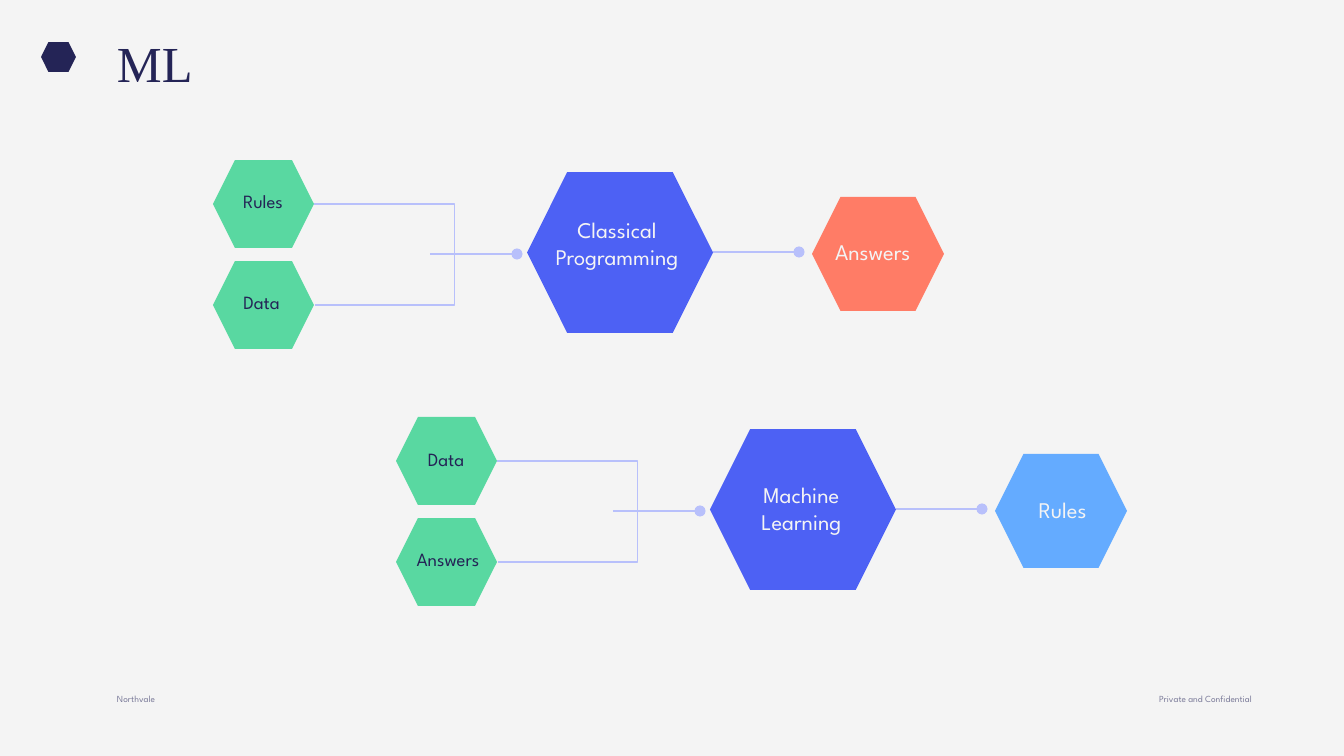
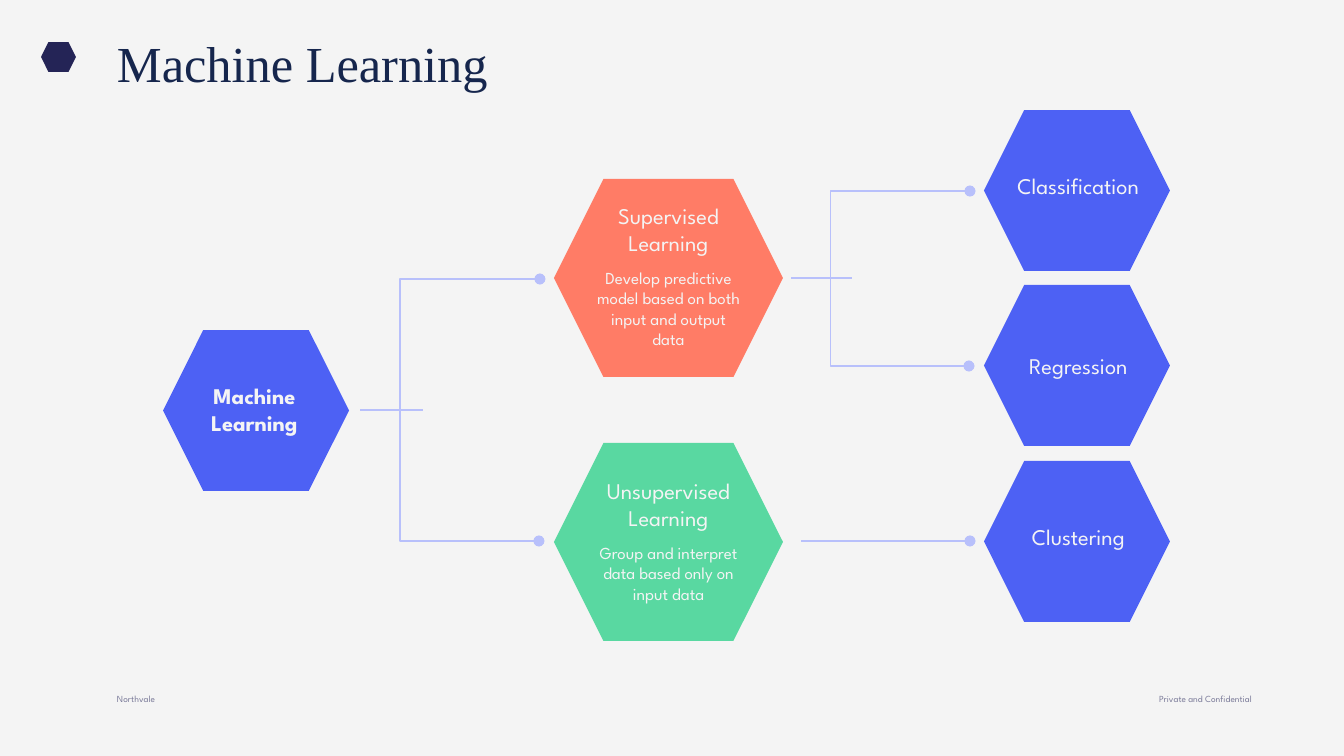
"""Build two slides of hexagon diagrams about machine learning."""
import pptx
import pptx.dml.color
import pptx.enum.shapes
import pptx.enum.text
import pptx.oxml.ns
import pptx.util
from lxml import etree

COLORS = {
    "background": "F4F4F4", "navy": "242456", "title_blue": "16264D",
    "grey": "7C7C9A", "line": "B8C0FB", "blue": "4D61F4", "green": "59D8A1",
    "coral": "FF7C66", "sky": "64ABFF",
}
BODY_FONT = "League Spartan"
TITLE_FONT = "Times New Roman"
SLIDE_WIDTH, SLIDE_HEIGHT = 1344, 756
SMALL, MEDIUM, NORMAL, LARGE = (101, 88), (132, 114), (186, 161), (229, 198)
LABEL_WIDTH = 149
ALIGN = pptx.enum.text.PP_ALIGN
ANCHOR = pptx.enum.text.MSO_ANCHOR
AUTO_SIZE = pptx.enum.text.MSO_AUTO_SIZE
CONNECTOR = pptx.enum.shapes.MSO_CONNECTOR


def emu(px):
    return pptx.util.Emu(round(px * 9144000 / SLIDE_WIDTH))


def rgb(name):
    return pptx.dml.color.RGBColor.from_string(COLORS[name])


class Deck:
    def __init__(self):
        self.presentation = pptx.Presentation()
        self.presentation.slide_width = emu(SLIDE_WIDTH)
        self.presentation.slide_height = emu(SLIDE_HEIGHT)
        self.slide = None

    def add_slide(self, title, title_color):
        self.slide = self.presentation.slides.add_slide(self.presentation.slide_layouts[5])
        fill = self.slide.background.fill
        fill.solid()
        fill.fore_color.rgb = rgb("background")
        shape = self.slide.shapes.title
        shape.left, shape.top, shape.width, shape.height = map(emu, (117, 32, 1184, 60))
        self.set_text(shape, title, 27, title_color, font=TITLE_FONT, align=ALIGN.LEFT)
        self.hexagon(41, 42, (35, 30), "navy")
        self.footer("Northvale", 117, 664)
        self.footer("Private and Confidential", 1159, 143)

    def set_text(self, shape, text, size, color, font=BODY_FONT, align=ALIGN.CENTER,
                 anchor=ANCHOR.TOP, bold=False):
        frame = shape.text_frame
        frame.text = text
        frame.word_wrap = True
        frame.auto_size = AUTO_SIZE.SHAPE_TO_FIT_TEXT if anchor == ANCHOR.TOP else AUTO_SIZE.NONE
        frame.vertical_anchor = anchor
        frame.margin_left = frame.margin_right = frame.margin_top = frame.margin_bottom = 0
        for paragraph in frame.paragraphs:
            paragraph.alignment = align
            paragraph.line_spacing = pptx.util.Pt(size * 1.2)
            paragraph.font.name = font
            paragraph.font.size = pptx.util.Pt(size)
            paragraph.font.bold = bold
            paragraph.font.color.rgb = rgb(color)

    def label(self, text, left, top, width=LABEL_WIDTH, size=12, color="background", lines=1, **style):
        height = round(lines * size * 2.24)
        shape = self.slide.shapes.add_textbox(*map(emu, (left, top, width, height)))
        self.set_text(shape, text, size, color, **style)

    def footer(self, text, left, width):
        shape = self.slide.shapes.add_textbox(*map(emu, (left, 675, width, 29)))
        self.set_text(shape, text, 5, "grey", align=ALIGN.LEFT, anchor=ANCHOR.BOTTOM)

    def hexagon(self, left, top, size, color):
        shape = self.slide.shapes.add_shape(
            pptx.enum.shapes.MSO_SHAPE.HEXAGON, *map(emu, (left, top, *size)))
        shape.adjustments[0] = 0.25
        shape.shadow.inherit = False
        shape.fill.solid()
        shape.fill.fore_color.rgb = rgb(color)
        shape.line.fill.background()

    def connect(self, kind, start, end, ends=()):
        connector = self.slide.shapes.add_connector(kind, *map(emu, (*start, *end)))
        connector.line.color.rgb = rgb("line")
        connector.line.width = pptx.util.Pt(0.75)
        properties = connector._element.spPr
        outline = properties.find(pptx.oxml.ns.qn("a:ln"))
        for name in ends:
            etree.SubElement(outline, pptx.oxml.ns.qn(f"a:{name}"), type="oval")
        etree.SubElement(properties, pptx.oxml.ns.qn("a:effectLst"))
        return properties

    def line(self, x1, x2, y, ends=()):
        self.connect(CONNECTOR.STRAIGHT, (x1, y), (x2, y), ends)

    def bracket(self, x, top, bottom, reach, ends=()):
        step = 1 if reach > 0 else -1
        properties = self.connect(CONNECTOR.ELBOW, (x, top), (x + step, bottom), ends)
        geometry = properties.find(pptx.oxml.ns.qn("a:prstGeom"))
        adjustments = geometry.find(pptx.oxml.ns.qn("a:avLst"))
        etree.SubElement(adjustments, pptx.oxml.ns.qn("a:gd"),
                         name="adj1", fmla=f"val {abs(reach) * 100000}")

    def flow(self, x, y, result_color):
        self.bracket(x + 101, y + 44, y + 145, 140)
        self.line(x + 217, x + 304, y + 94, ["tailEnd"])
        self.line(x + 500, x + 586, y + 92, ["tailEnd"])
        for top in (y, y + 101):
            self.hexagon(x, top, SMALL, "green")
        self.hexagon(x + 314, y + 12, NORMAL, "blue")
        self.hexagon(x + 599, y + 37, MEDIUM, result_color)


def build_comparison(deck):
    deck.add_slide("ML", "navy")
    deck.flow(213, 160, "coral")
    deck.flow(396, 417, "sky")
    for text, left, top, width in (("Rules", 230, 190, 66), ("Data", 236, 291, 51),
                                   ("Data", 413, 448, 66), ("Answers", 409, 548, 78)):
        deck.label(text, left, top, width, size=10, color="navy")
    deck.label("Classical Programming", 524, 216, 186, lines=2)
    deck.label("Answers", 835, 238, 101, align=ALIGN.LEFT)
    deck.label("Machine\nLearning", 727, 481, lines=2)
    deck.label("Rules", 1012, 496, 101)


def build_tree(deck):
    deck.add_slide("Machine Learning", "title_blue")
    both_ends = ["headEnd", "tailEnd"]
    deck.hexagon(163, 330, NORMAL, "blue")
    deck.label("Machine\nLearning", 180, 382, lines=2, bold=True)
    branches = (
        ("Supervised\nLearning", "Develop predictive model based on both input and output data",
         "coral", 179, 202, 4),
        ("Unsupervised\nLearning", "Group and interpret data based only on input data",
         "green", 443, 477, 3),
    )
    for name, description, color, top, label_top, lines in branches:
        deck.hexagon(554, top, LARGE, color)
        deck.label(name, 594, label_top, lines=2)
        deck.label(description, 594, label_top + 66, size=9, lines=lines)
    for name, top, label_top in (("Classification", 110, 172), ("Regression", 285, 352),
                                 ("Clustering", 461, 523)):
        deck.hexagon(984, top, NORMAL, "blue")
        deck.label(name, 1004, label_top)
    deck.line(423, 360, 410)
    deck.bracket(540, 279, 541, -139, both_ends)
    deck.line(852, 791, 278)
    deck.bracket(970, 191, 366, -139, both_ends)
    deck.line(970, 801, 541, ["headEnd"])


def main():
    deck = Deck()
    build_comparison(deck)
    build_tree(deck)
    deck.presentation.save("out.pptx")


if __name__ == "__main__":
    main()
